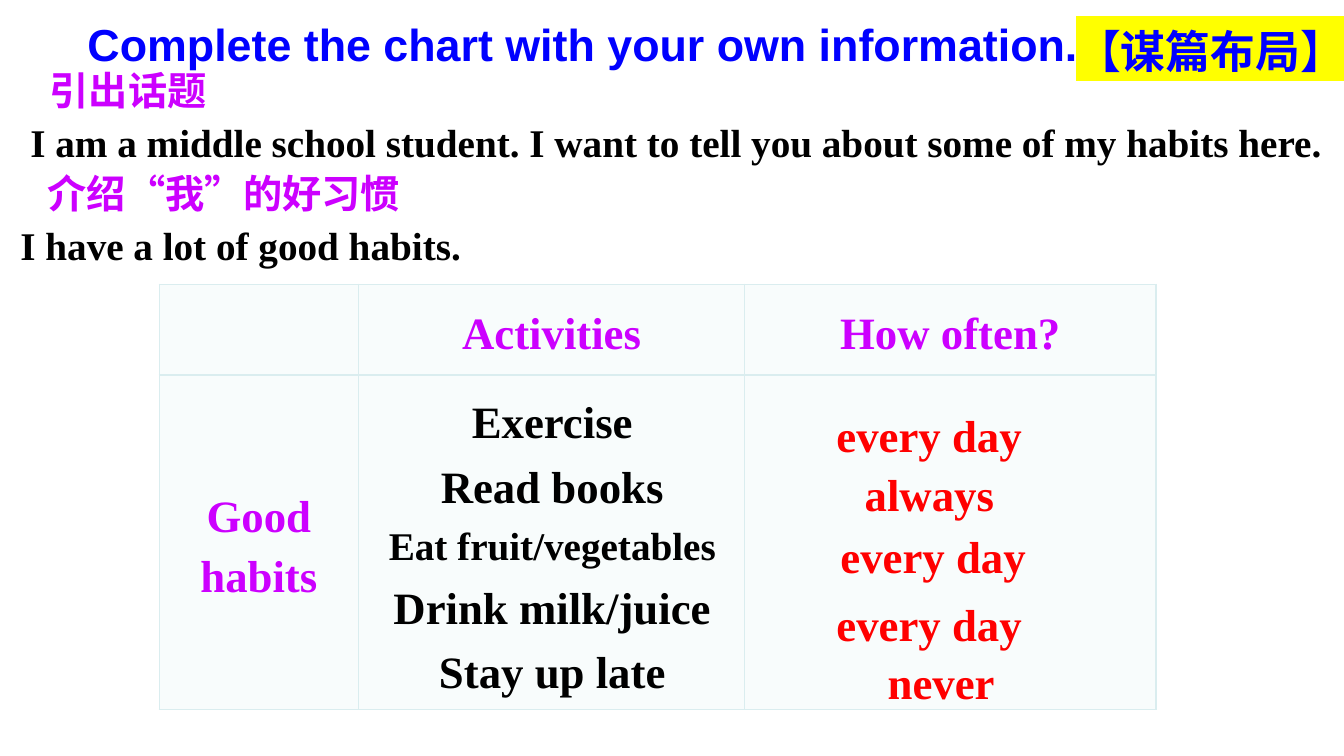
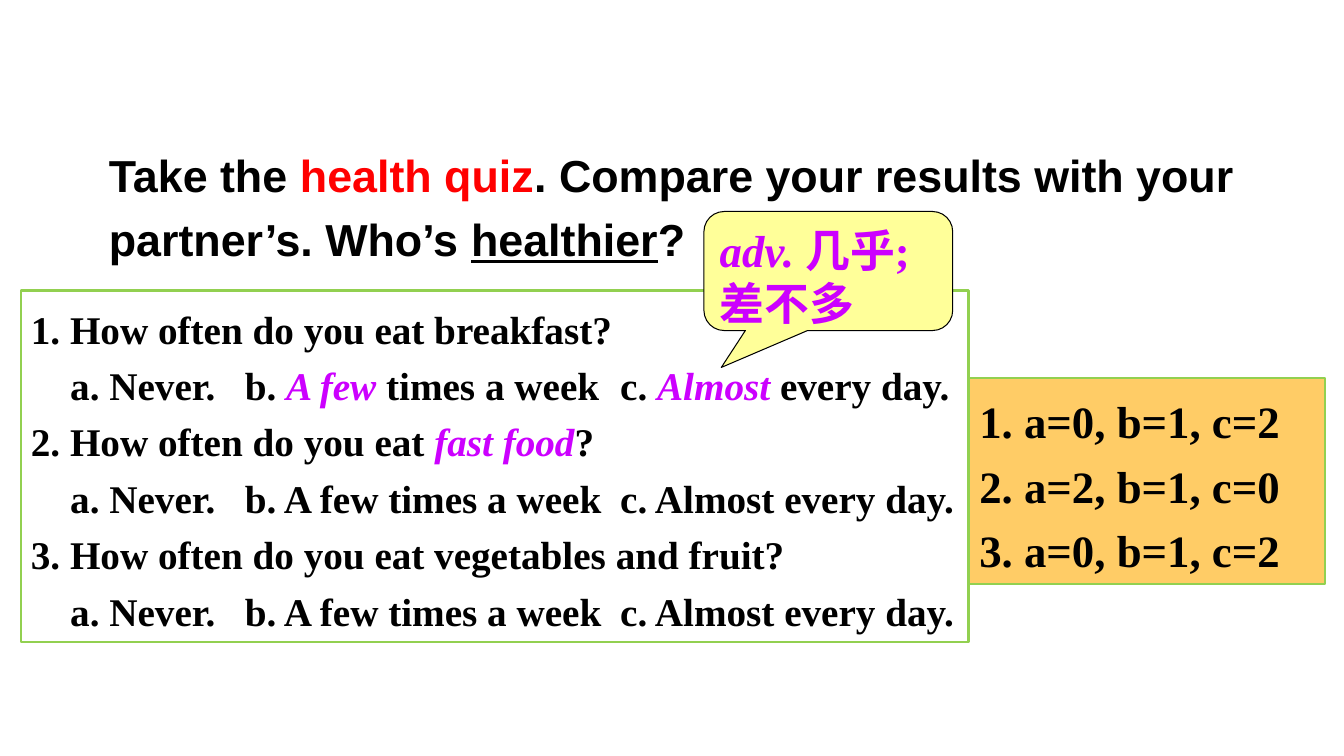
from dataclasses import dataclass
from typing import Optional

from lxml.etree import SubElement
from pptx import Presentation
from pptx.dml.color import RGBColor
from pptx.enum.shapes import MSO_SHAPE
from pptx.enum.text import MSO_ANCHOR as Anchor, MSO_AUTO_SIZE as AutoSize, PP_ALIGN as Align
from pptx.oxml import parse_xml
from pptx.oxml.ns import nsdecls, qn
from pptx.util import Cm, Pt

BLACK = RGBColor(0x00, 0x00, 0x00)
WHITE = RGBColor(0xFF, 0xFF, 0xFF)
BLUE = RGBColor(0x00, 0x00, 0xFF)
RED = RGBColor(0xFF, 0x00, 0x00)
PURPLE = RGBColor(0xCC, 0x00, 0xFF)
YELLOW = RGBColor(0xFF, 0xFF, 0x00)
PALE_YELLOW = RGBColor(0xFF, 0xFF, 0x99)
ORANGE = RGBColor(0xFF, 0xCC, 0x66)
GREEN = RGBColor(0x92, 0xD0, 0x50)
CELL_FILL = RGBColor(0xF8, 0xFC, 0xFC)
CELL_BORDER = RGBColor(0xDA, 0xED, 0xEF)
SANS, SERIF = "Arial", "Times New Roman"
LARGE, SMALL = 32, 28
OPTION_TABS = (0.99, 5.39, 14.85)


@dataclass(frozen=True)
class Box:
    """A rectangle in centimetres."""
    left: float
    top: float
    width: float
    height: float

    def lengths(self) -> tuple:
        """Return the four lengths in slide units."""
        return Cm(self.left), Cm(self.top), Cm(self.width), Cm(self.height)


@dataclass(frozen=True)
class Run:
    """A piece of text with its own look."""
    text: str
    color: RGBColor = BLACK
    italic: bool = False
    underline: bool = False


@dataclass(frozen=True)
class Para:
    """A paragraph of runs."""
    runs: tuple
    size: int = LARGE
    indent: float = 0
    tabs: tuple = ()


@dataclass(frozen=True)
class Style:
    """Settings that all paragraphs of a text frame share."""
    font: str = SERIF
    spacing: float = 1.2
    align: Align = Align.LEFT
    anchor: Anchor = Anchor.TOP


@dataclass(frozen=True)
class Frequency:
    """An answer placed in the last column."""
    text: str
    left: float
    top: float


def line(text: str, color: RGBColor = BLACK, size: int = LARGE, indent: float = 0) -> Para:
    """Return a paragraph of one run."""
    return Para((Run(text, color),), size, indent)


def options(*runs: Run) -> Para:
    """Return a line of answers set on tab stops."""
    return Para(runs, SMALL, tabs=OPTION_TABS)


def write(tf, paras: list, style: Style) -> None:
    """Fill a text frame with formatted paragraphs."""
    for i, para in enumerate(paras):
        p = tf.paragraphs[0] if i == 0 else tf.add_paragraph()
        p.alignment, p.line_spacing, p.space_before = style.align, style.spacing, Pt(0)
        pPr = p._p.get_or_add_pPr()
        SubElement(pPr, qn("a:buNone"))
        if para.tabs:
            tab_list = SubElement(pPr, qn("a:tabLst"))
            for pos in para.tabs:
                SubElement(tab_list, qn("a:tab"), pos=str(Cm(pos)), algn="l")
        else:
            pPr.set("marL", "0")
            pPr.set("indent", str(Cm(para.indent)))
        for run in para.runs:
            r = p.add_run()
            r.text = run.text
            r.font.size, r.font.bold = Pt(para.size), True
            r.font.italic, r.font.underline = run.italic, run.underline
            r.font.color.rgb = run.color
            r.font.name = style.font


def fill_shape(s, box: Box, paras: list, style: Style) -> None:
    """Place a shape and write its text."""
    s.left, s.top, s.width, s.height = box.lengths()
    tf = s.text_frame
    tf.word_wrap, tf.auto_size = True, AutoSize.NONE
    tf.vertical_anchor = style.anchor
    write(tf, paras, style)


def add_text(slide, box: Box, paras: list, style: Style = Style()):
    """Add a text box."""
    s = slide.shapes.add_textbox(*box.lengths())
    fill_shape(s, box, paras, style)
    return s


def add_panel(slide, kind: MSO_SHAPE, box: Box, paras: list, style: Style,
              fill: RGBColor, border: RGBColor, weight: float):
    """Add a filled and outlined shape with text."""
    s = slide.shapes.add_shape(kind, *box.lengths())
    s.shadow.inherit = False
    s.fill.solid()
    s.fill.fore_color.rgb = fill
    s.line.color.rgb = border
    s.line.width = Pt(weight)
    fill_shape(s, box, paras, style)
    return s


def highlight(r, color: RGBColor) -> None:
    """Mark a run with a background colour."""
    mark = parse_xml(f'<a:highlight {nsdecls("a")}><a:srgbClr val="{color}"/></a:highlight>')
    r._r.rPr.find(qn("a:latin")).addprevious(mark)


def format_cell(cell, text: Optional[str]) -> None:
    """Give a table cell its fill, borders and text."""
    cell.fill.solid()
    cell.fill.fore_color.rgb = CELL_FILL
    cell.vertical_anchor = Anchor.MIDDLE
    tcPr = cell._tc.get_or_add_tcPr()
    for i, side in enumerate(("lnL", "lnR", "lnT", "lnB")):
        tcPr.insert(i, parse_xml(
            f'<a:{side} {nsdecls("a")} w="{Pt(1)}"><a:solidFill>'
            f'<a:srgbClr val="{CELL_BORDER}"/></a:solidFill></a:{side}>'))
    if text:
        write(cell.text_frame, [line(text, PURPLE)], Style(align=Align.CENTER))


def add_habit_table(slide) -> None:
    """Add the table of good habits."""
    widths, heights = (5.03, 9.73, 10.36), (2.29, 8.43)
    rows = ((None, "Activities", "How often?"), ("Good habits", None, None))
    box = Box(4.01, 7.16, sum(widths), sum(heights))
    table = slide.shapes.add_table(len(heights), len(widths), *box.lengths()).table
    for col, width in zip(table.columns, widths):
        col.width = Cm(width)
    for row, height, texts in zip(table.rows, heights, rows):
        row.height = Cm(height)
        for cell, text in zip(row.cells, texts):
            format_cell(cell, text)


def build_chart_slide(prs) -> None:
    """Build the slide with the habit chart."""
    slide = prs.slides.add_slide(prs.slide_layouts[1])
    title, body = slide.placeholders
    fill_shape(title, Box(1.95, 0.17, 26.97, 1.75),
               [line("Complete the chart with your own information.", BLUE)], Style(SANS, 1.1))
    fill_shape(body, Box(0.26, 1.42, 33.48, 5.51), [
        line("引出话题", PURPLE, SMALL, 0.74),
        line("I am a middle school student. I want to tell you about some of my habits here.",
             size=SMALL, indent=0.25),
        line("介绍“我”的好习惯", PURPLE, SMALL, 0.69),
        line("I have a lot of good habits.", size=SMALL),
    ], Style(spacing=1.1))
    add_habit_table(slide)
    add_text(slide, Box(9.02, 9.53, 9.8, 8.26), [
        line("Exercise"), line("Read books"), line("Eat fruit/vegetables", size=SMALL),
        line("Drink milk/juice"), line("Stay up late"),
    ], Style(align=Align.CENTER))
    for answer in (
        Frequency("every day", 20.83, 9.87),
        Frequency("always", 21.54, 11.36),
        Frequency("every day", 20.93, 12.93),
        Frequency("every day", 20.83, 14.63),
        Frequency("never", 22.12, 16.1),
    ):
        add_text(slide, Box(answer.left, answer.top, 6.5, 1.9), [line(answer.text, RED)])
    tag = add_text(slide, Box(27.12, 0.33, 6.77, 1.75), [line("【谋篇布局】", BLUE)],
                   Style(spacing=1.1))
    tf = tag.text_frame
    tf.word_wrap = False
    tf.margin_left = tf.margin_right = 0
    highlight(tf.paragraphs[0].runs[0], YELLOW)


def build_quiz_slide(prs) -> None:
    """Build the slide with the health quiz."""
    slide = prs.slides.add_slide(prs.slide_layouts[5])
    fill_shape(slide.shapes.title, Box(2.49, 3.37, 29.9, 3.4), [Para((
        Run("Take the "), Run("health quiz", RED),
        Run(". Compare your results with your partner’s. Who’s "),
        Run("healthier", underline=True), Run("?"),
    ))], Style(SANS, anchor=Anchor.MIDDLE))
    plain = options(Run("\ta. Never.\tb. A few times a week\tc. Almost every day."))
    quiz = add_panel(slide, MSO_SHAPE.RECTANGLE, Box(0.53, 7.32, 23.88, 8.86), [
        line("1. How often do you eat breakfast?", size=SMALL),
        options(Run("\ta. Never.\tb. "), Run("A few ", PURPLE, True), Run("times a week\tc. "),
                Run("Almost ", PURPLE, True), Run("every day.")),
        Para((Run("2. How often do you eat "), Run("fast food", PURPLE, True), Run("?")), SMALL),
        plain,
        line("3. How often do you eat vegetables and fruit?", size=SMALL),
        plain,
    ], Style(), WHITE, GREEN, 1.5)
    quiz.text_frame.margin_right = 0
    callout = add_panel(
        slide, MSO_SHAPE.ROUNDED_RECTANGULAR_CALLOUT, Box(17.74, 5.33, 6.27, 3),
        [Para((Run("adv. ", PURPLE, True), Run("几乎;差不多", PURPLE)))],
        Style(spacing=1.0), PALE_YELLOW, BLACK, 0.75)
    for i, value in enumerate((-0.43, 0.81, 0.17)):
        callout.adjustments[i] = value
    scores = ("1. a=0, b=1, c=2", "2. a=2, b=1, c=0", "3. a=0, b=1, c=2")
    add_panel(slide, MSO_SHAPE.RECTANGLE, Box(24.43, 9.53, 8.97, 5.18),
              [line(score) for score in scores], Style(), ORANGE, GREEN, 1.5)


def main() -> None:
    """Build and save the presentation."""
    prs = Presentation()
    prs.slide_width, prs.slide_height = Cm(33.87), Cm(19.05)
    build_chart_slide(prs)
    build_quiz_slide(prs)
    prs.save("out.pptx")


if __name__ == "__main__":
    main()
